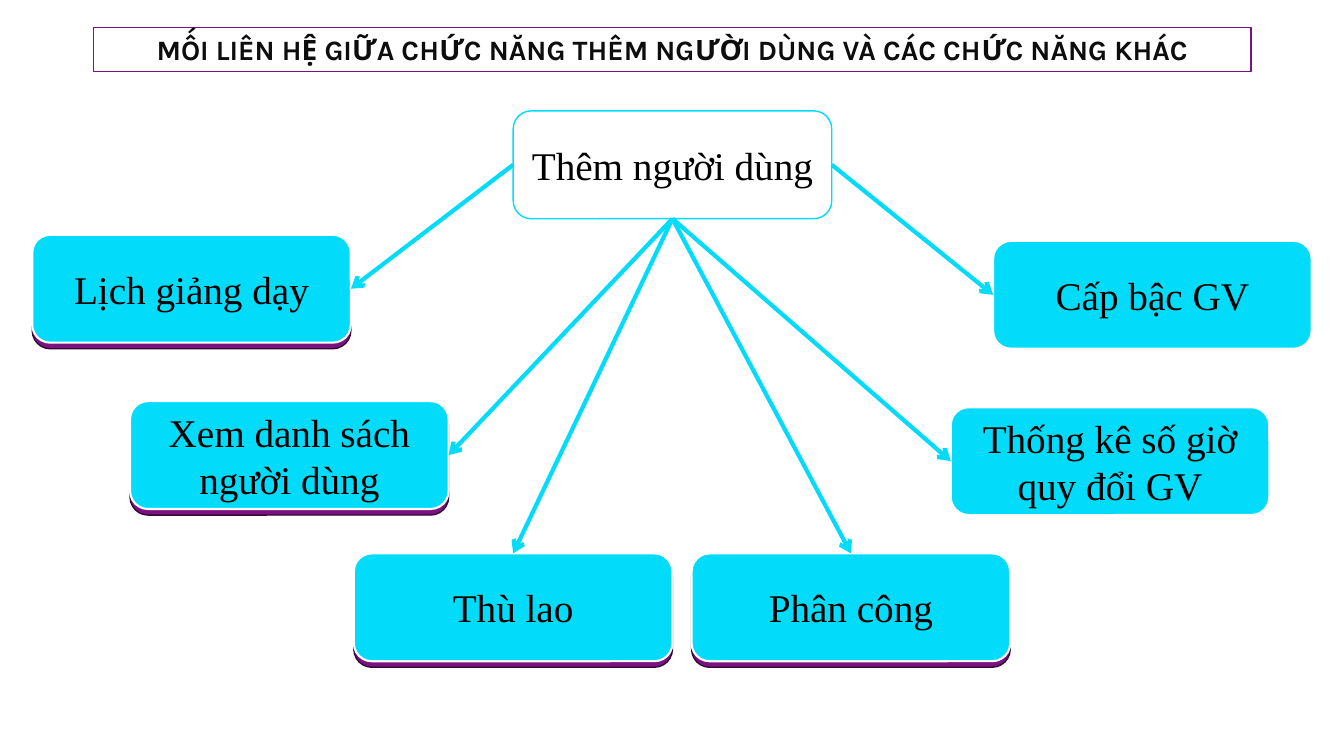
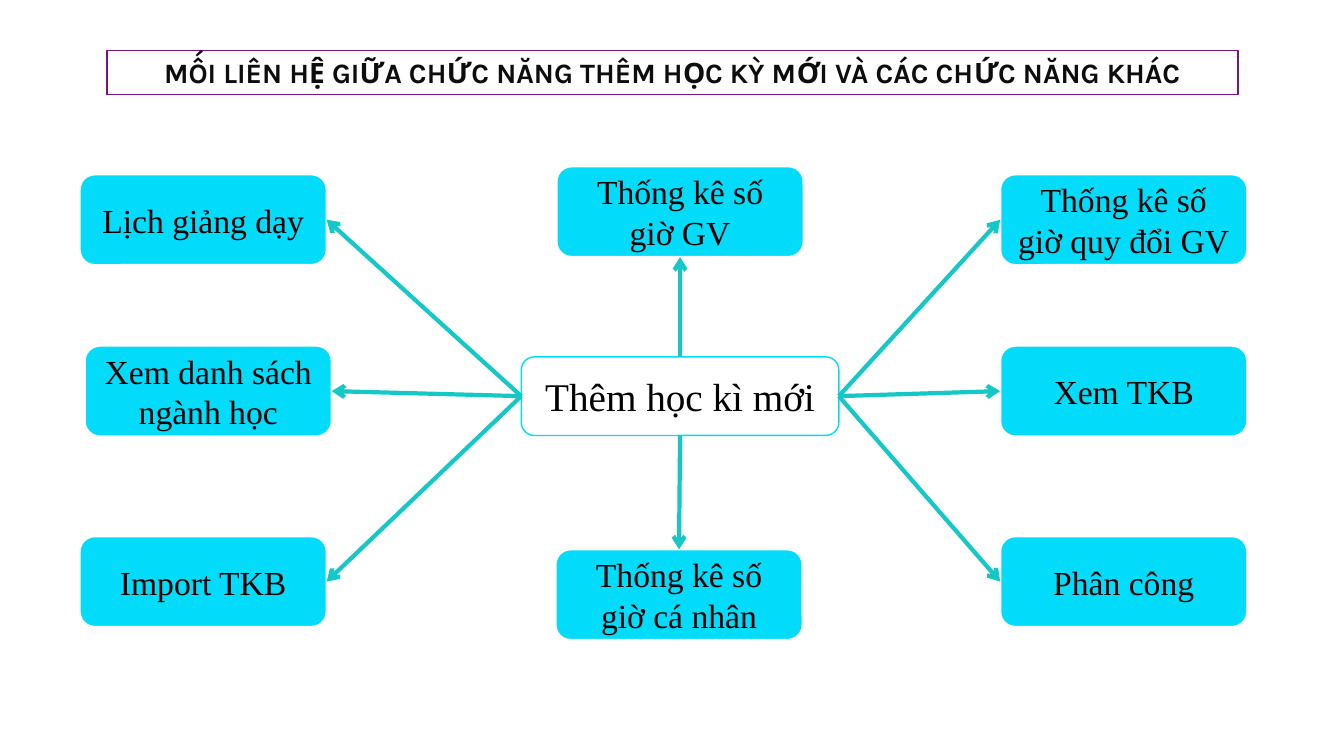
from dataclasses import dataclass

from pptx import Presentation
from pptx.dml.color import RGBColor
from pptx.enum.shapes import MSO_CONNECTOR, MSO_SHAPE
from pptx.enum.text import MSO_ANCHOR, MSO_AUTO_SIZE, PP_ALIGN
from pptx.oxml.ns import qn
from pptx.presentation import Presentation as Deck
from pptx.shapes.autoshape import Shape
from pptx.slide import Slide
from pptx.util import Inches, Pt
from lxml.etree import SubElement

COLORS = {
    "white": "FFFFFF",
    "black": "000000",
    "title": "0D0D0D",
    "purple": "7A1380",
    "dark purple": "350838",
    "cyan": "02DCFA",
    "teal": "15C7C7",
}
TITLE_FONT = "Karla"
BODY_FONT = "Times New Roman"
TITLE_HEIGHT = 0.44
SLAB_DROP = 0.06
TOP, LEFT, BOTTOM, RIGHT = range(4)


@dataclass(frozen=True)
class Frame:
    left: float
    top: float
    width: float
    height: float


@dataclass(frozen=True)
class Node:
    """A linked function; the arrow runs from hub_side to node_side."""
    text: str
    left: float
    top: float
    hub_side: int
    node_side: int
    has_slab: bool = False


@dataclass(frozen=True)
class Diagram:
    title: str
    title_left: float
    title_top: float
    title_width: float
    hub_text: str
    hub: Frame
    node_width: float
    node_height: float
    node_size: int
    arrow_color: str
    nodes: tuple[Node, ...]


USER_DIAGRAM = Diagram(
    "MỐI LIÊN HỆ GIỮA CHỨC NĂNG THÊM NGƯỜI DÙNG VÀ CÁC CHỨC NĂNG KHÁC",
    0.93, 0.27, 11.48,
    "Thêm người dùng", Frame(5.09, 1.1, 3.16, 1.07),
    3.16, 1.07, 28, "cyan",
    (
        Node("Lịch giảng dạy", 0.32, 2.33, LEFT, RIGHT, True),
        Node("Xem danh sách người dùng", 1.29, 3.98, BOTTOM, RIGHT, True),
        Node("Thù lao", 3.51, 5.49, BOTTOM, TOP, True),
        Node("Phân công", 6.86, 5.49, BOTTOM, TOP, True),
        Node("Thống kê số giờ quy đổi GV", 9.43, 4.04, BOTTOM, LEFT),
        Node("Cấp bậc GV", 9.85, 2.39, RIGHT, LEFT),
    ),
)
TERM_DIAGRAM = Diagram(
    "MỐI LIÊN HỆ GIỮA CHỨC NĂNG THÊM HỌC KỲ MỚI VÀ CÁC CHỨC NĂNG KHÁC",
    1.06, 0.5, 11.22,
    "Thêm học kì mới", Frame(5.17, 3.54, 3.15, 0.78),
    2.45, 0.9, 24, "teal",
    (
        Node("Lịch giảng dạy", 0.79, 1.73, LEFT, RIGHT),
        Node("Xem danh sách ngành học", 0.84, 3.43, LEFT, RIGHT),
        Node("Import TKB", 0.79, 5.32, LEFT, RIGHT),
        Node("Thống kê số giờ GV", 5.52, 1.65, TOP, BOTTOM),
        Node("Thống kê số giờ cá nhân", 5.51, 5.45, BOTTOM, TOP),
        Node("Thống kê số giờ quy đổi GV", 9.92, 1.73, RIGHT, LEFT),
        Node("Xem TKB", 9.92, 3.43, RIGHT, LEFT),
        Node("Phân công", 9.92, 5.32, RIGHT, LEFT),
    ),
)


def color(name: str) -> RGBColor:
    return RGBColor.from_string(COLORS[name])


def paint(shape: Shape, fill: str, line: str, line_width: float) -> None:
    shape.fill.solid()
    shape.fill.fore_color.rgb = color(fill)
    shape.line.color.rgb = color(line)
    shape.line.width = Pt(line_width)


def write(shape: Shape, text: str, font: str, size: int, ink: str, bold: bool = False) -> None:
    shape.text_frame.text = text
    para = shape.text_frame.paragraphs[0]
    para.alignment = PP_ALIGN.CENTER
    para.font.name = font
    para.font.size = Pt(size)
    para.font.bold = bold
    para.font.color.rgb = color(ink)


def add_title(page: Slide, diagram: Diagram) -> None:
    title = page.shapes.title
    title.left, title.top = Inches(diagram.title_left), Inches(diagram.title_top)
    title.width, title.height = Inches(diagram.title_width), Inches(TITLE_HEIGHT)
    paint(title, "white", "purple", 1)
    write(title, diagram.title, TITLE_FONT, 20, "title", bold=True)
    title.text_frame.word_wrap = False
    title.text_frame.auto_size = MSO_AUTO_SIZE.NONE
    title.text_frame.vertical_anchor = MSO_ANCHOR.TOP


def add_box(page: Slide, frame: Frame, fill: str, line: str, line_width: float) -> Shape:
    box = page.shapes.add_shape(
        MSO_SHAPE.ROUNDED_RECTANGLE,
        Inches(frame.left), Inches(frame.top), Inches(frame.width), Inches(frame.height),
    )
    box.shadow.inherit = False
    paint(box, fill, line, line_width)
    return box


def add_node(page: Slide, node: Node, diagram: Diagram) -> Shape:
    width, height = diagram.node_width, diagram.node_height
    if node.has_slab:
        slab = Frame(node.left, node.top + SLAB_DROP, width, height)
        add_box(page, slab, "purple", "dark purple", 1)
    box = add_box(page, Frame(node.left, node.top, width, height), "cyan", "white", 1.5)
    write(box, node.text, BODY_FONT, diagram.node_size, "black")
    box.text_frame.margin_top = box.text_frame.margin_bottom = Inches(0.02)
    return box


def add_arrow(page: Slide, hub: Shape, box: Shape, node: Node, ink: str) -> None:
    arrow = page.shapes.add_connector(MSO_CONNECTOR.STRAIGHT, 0, 0, 0, 0)
    arrow.begin_connect(hub, node.hub_side)
    arrow.end_connect(box, node.node_side)
    arrow.line.color.rgb = color(ink)
    arrow.line.width = Pt(3)
    properties = arrow.element.spPr
    SubElement(properties.find(qn("a:ln")), qn("a:tailEnd"), type="arrow")
    SubElement(properties, qn("a:effectLst"))


def add_diagram(deck: Deck, diagram: Diagram) -> None:
    page = deck.slides.add_slide(deck.slide_layouts.get_by_name("Title Only"))
    add_title(page, diagram)
    hub = add_box(page, diagram.hub, "white", "cyan", 1)
    write(hub, diagram.hub_text, BODY_FONT, 28, "black")
    boxes = [add_node(page, node, diagram) for node in diagram.nodes]
    for box, node in zip(boxes, diagram.nodes):
        add_arrow(page, hub, box, node, diagram.arrow_color)


def main() -> None:
    deck = Presentation()
    deck.slide_width, deck.slide_height = Inches(13.33), Inches(7.5)
    for diagram in (USER_DIAGRAM, TERM_DIAGRAM):
        add_diagram(deck, diagram)
    deck.save("out.pptx")


if __name__ == "__main__":
    main()
